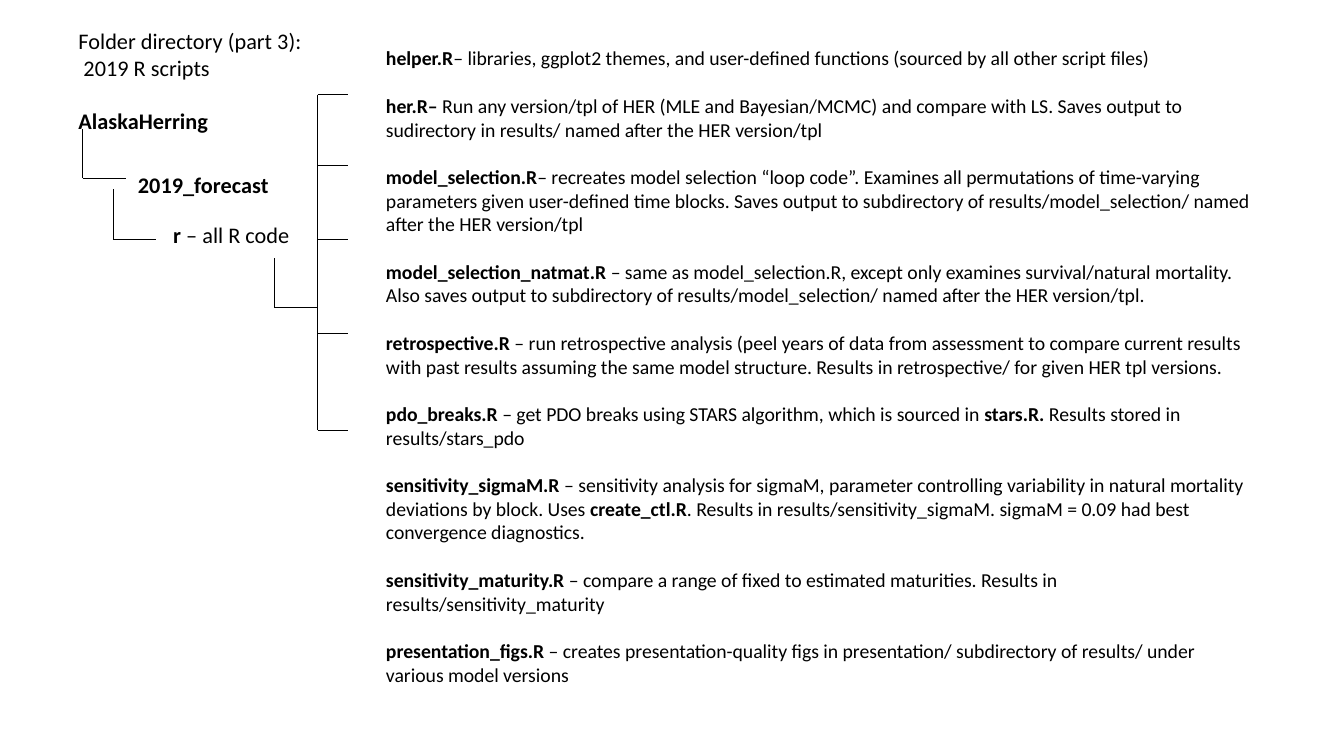
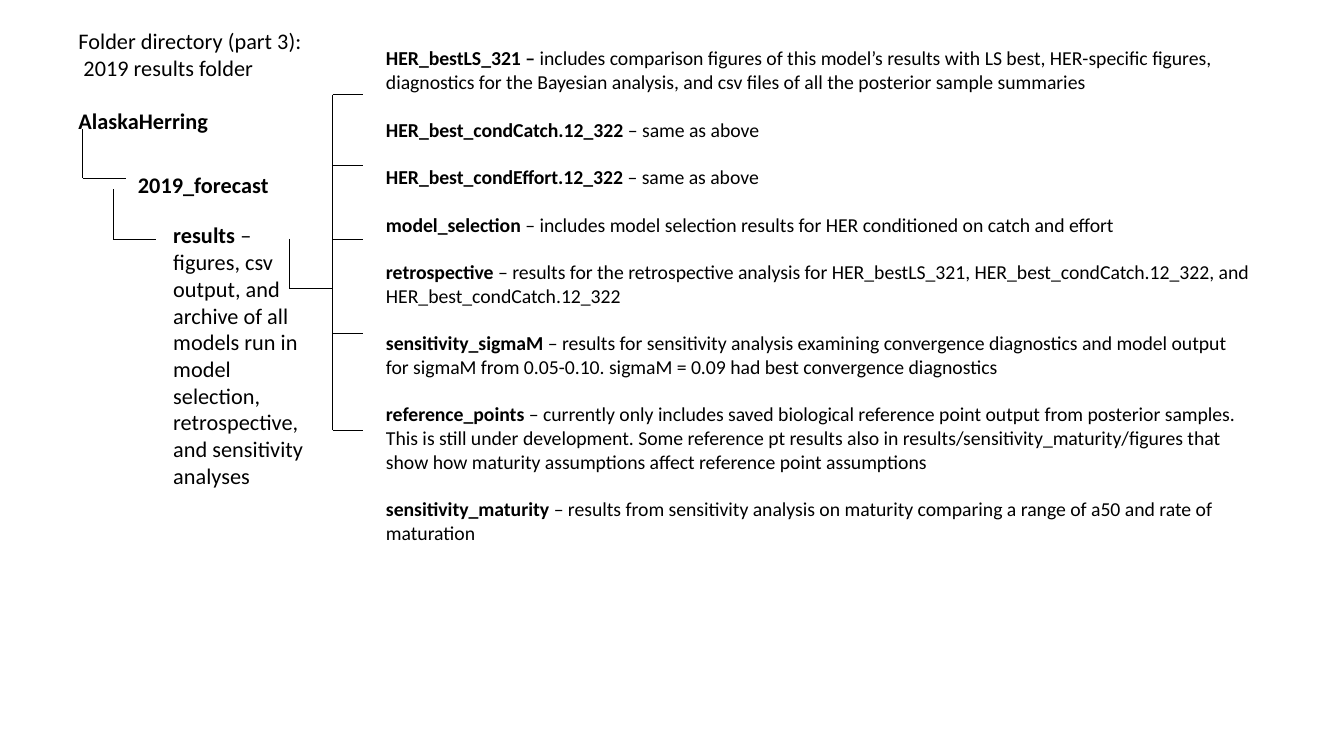
from itertools import cycle

from lxml import etree
from pptx import Presentation
from pptx.dml.color import RGBColor
from pptx.enum.shapes import MSO_CONNECTOR
from pptx.oxml.ns import qn
from pptx.util import Inches, Pt

FONT = "Calibri"
BLACK = "000000"
FOLDER_SIZE, FILE_SIZE = 15.9, 14.1
FOLDER_GAP, FILE_GAP = 19, 17
STEP_WIDTH, STEP_HEIGHT = 0.43, 0.49
TOOTH = 0.3
TEETH = [0.94, 1.64, 2.37, 3.31, 4.27]

# In every tuple of text, bold and regular parts alternate, bold first.
SLIDES = [
    {
        "subtitle": " 2019 R scripts",
        "folder": ("r ", "– all R code"),
        "folder_height": 0.9,
        "spine": 3.15,
        "branch_top": 2.56,
        "files": [
            ("helper.R", "– libraries, ggplot2 themes, and user-defined functions "
             "(sourced by all other script files)"),
            ("her.R– ", "Run any version/tpl of HER (MLE and Bayesian/MCMC) and compare "
             "with LS. Saves output to sudirectory in results/ named after the HER version/tpl"),
            ("model_selection.R", "– recreates model selection “loop code”. Examines all "
             "permutations of time-varying parameters given user-defined time blocks. Saves "
             "output to subdirectory of results/model_selection/ named after the HER version/tpl"),
            ("model_selection_natmat.R ", "– same as model_selection.R, except only examines "
             "survival/natural mortality. Also saves output to subdirectory of "
             "results/model_selection/ named after the HER version/tpl."),
            ("retrospective.R ", "– run retrospective analysis (peel years of data from "
             "assessment to compare current results with past results assuming the same "
             "model structure. Results in retrospective/ for given HER tpl versions."),
            ("pdo_breaks.R ", "– get PDO breaks using STARS algorithm, which is sourced in ",
             "stars.R. ", "Results stored in results/stars_pdo"),
            ("sensitivity_sigmaM.R ", "– sensitivity analysis for sigmaM, parameter "
             "controlling variability in natural mortality deviations by block. Uses ",
             "create_ctl.R", ". Results in results/sensitivity_sigmaM. sigmaM = 0.09 had "
             "best convergence diagnostics."),
            ("sensitivity_maturity.R ", "– compare a range of fixed to estimated "
             "maturities. Results in results/sensitivity_maturity"),
            ("presentation_figs.R ", "– creates presentation-quality figs in presentation/ "
             "subdirectory of results/ under various model versions"),
        ],
    },
    {
        "subtitle": " 2019 results folder",
        "folder": ("results ", "– figures, csv output, and archive of all models run in "
                   "model selection, retrospective, and sensitivity analyses"),
        "folder_height": 3.31,
        "spine": 3.3,
        "branch_top": 2.37,
        "files": [
            ("HER_bestLS_321 – ", "includes comparison figures of this model’s results with "
             "LS best, HER-specific figures, diagnostics for the Bayesian analysis, and csv "
             "files of all the posterior sample summaries"),
            ("HER_best_condCatch.12_322 ", "– same as above"),
            ("HER_best_condEffort.12_322 ", "– same as above"),
            ("model_selection ", "– includes model selection results for HER conditioned on "
             "catch and effort"),
            ("retrospective ", "– results for the retrospective analysis for HER_bestLS_321, "
             "HER_best_condCatch.12_322, and HER_best_condCatch.12_322"),
            ("sensitivity_sigmaM ", "– results for sensitivity analysis examining convergence "
             "diagnostics and model output for sigmaM from 0.05-0.10. sigmaM = 0.09 had best "
             "convergence diagnostics"),
            ("reference_points ", "– currently only includes saved biological reference point "
             "output from posterior samples. This is still under development. Some reference "
             "pt results also in results/sensitivity_maturity/figures that show how maturity "
             "assumptions affect reference point assumptions"),
            ("sensitivity_maturity ", "– results from sensitivity analysis on maturity "
             "comparing a range of a50 and rate of maturation"),
        ],
    },
]


def color(value):
    return RGBColor.from_string(value)


def add_text(slide, box, paragraphs, size, gap=0):
    """Write tuples of alternating bold and regular parts, with a gap after each."""
    frame = slide.shapes.add_textbox(*map(Inches, box)).text_frame
    frame.word_wrap = True
    for index, parts in enumerate(paragraphs):
        paragraph = frame.paragraphs[0] if index == 0 else frame.add_paragraph()
        paragraph.font.name = FONT
        paragraph.font.size = Pt(size)
        paragraph.font.color.rgb = color(BLACK)
        paragraph.space_after = Pt(gap)
        for text, bold in zip(parts, cycle([True, False])):
            if text:
                run = paragraph.add_run()
                run.text = text
                run.font.bold = bold
    return frame


def add_line(slide, *ends):
    line = slide.shapes.add_connector(MSO_CONNECTOR.STRAIGHT, *map(Inches, ends))
    line.line.color.rgb = color(BLACK)
    line.line.width = Pt(0.5)
    etree.SubElement(line._element.spPr, qn("a:effectLst"))


def add_step(slide, left, top):
    """Draw the corner that leads down and right to a subfolder."""
    bottom = top + STEP_HEIGHT
    add_line(slide, left, top, left, bottom)
    add_line(slide, left, bottom, left + STEP_WIDTH, bottom)


def add_bracket(slide, spine):
    add_line(slide, spine, TEETH[0], spine, TEETH[-1])
    for tooth in TEETH:
        add_line(slide, spine, tooth, spine + TOOTH, tooth)


def add_directory(presentation, content):
    slide = presentation.slides.add_slide(presentation.slide_layouts[6])
    heading = [("", "Folder directory (part 3):"), ("", content["subtitle"]),
               ("AlaskaHerring",)]
    frame = add_text(slide, (0.68, 0.22, 2.6, 1.17), heading, FOLDER_SIZE)
    frame.paragraphs[-1].space_before = Pt(FOLDER_GAP)
    add_text(slide, (1.27, 1.65, 1.8, 0.37), [("2019_forecast",)], FOLDER_SIZE)
    add_text(slide, (1.62, 2.15, 1.5, content["folder_height"]),
             [content["folder"]], FOLDER_SIZE)
    add_text(slide, (3.73, 0.41, 8.78, 7.02), content["files"], FILE_SIZE, FILE_GAP)

    spine = content["spine"]
    add_bracket(slide, spine)
    for left, top in [(0.82, 1.28), (1.12, 1.88),
                      (spine - STEP_WIDTH, content["branch_top"])]:
        add_step(slide, left, top)


def main():
    presentation = Presentation()
    presentation.slide_width = Inches(13.33)
    presentation.slide_height = Inches(7.5)
    for content in SLIDES:
        add_directory(presentation, content)
    presentation.save("out.pptx")


if __name__ == "__main__":
    main()
